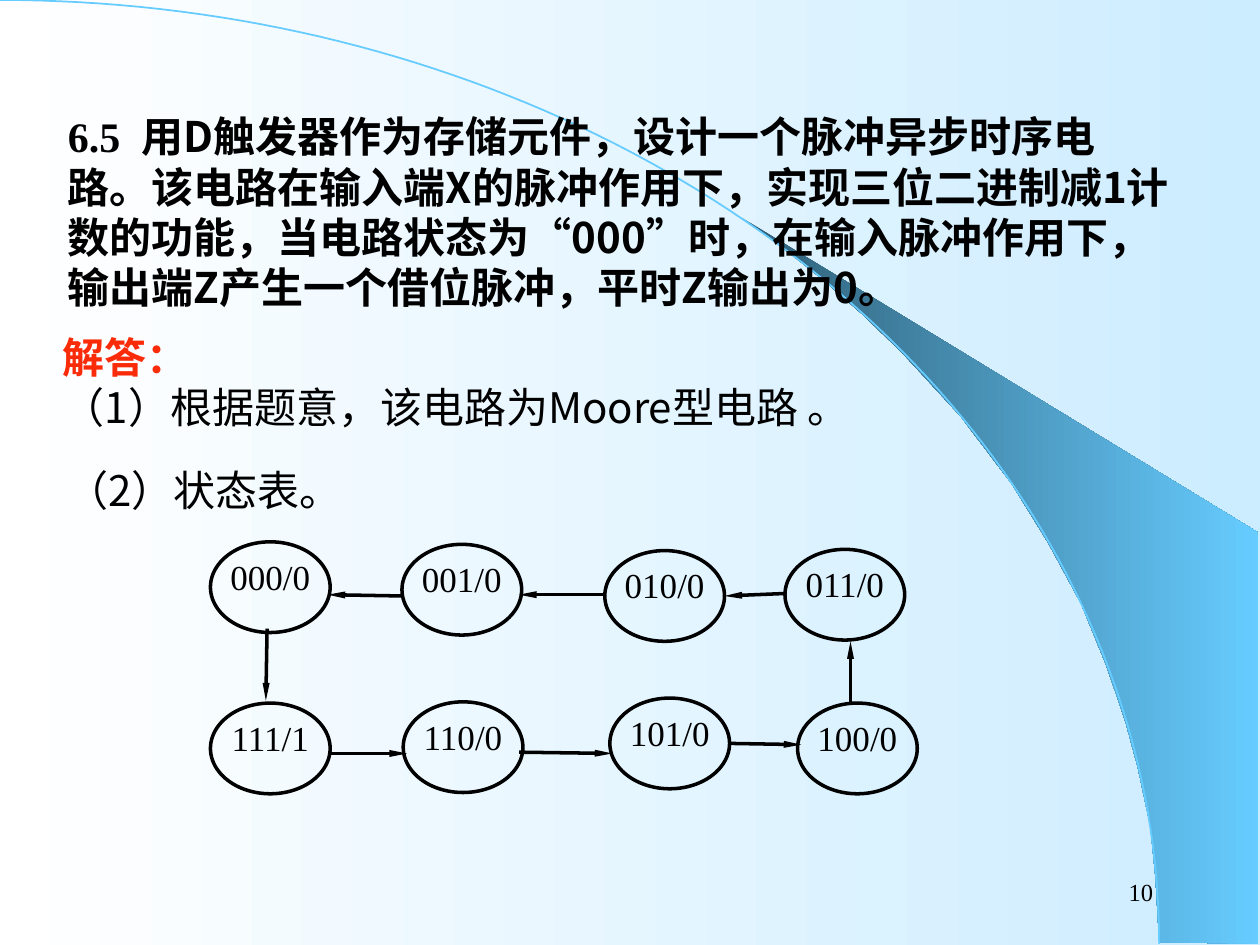
import math
from dataclasses import dataclass

import pptx
import pptx.dml.color
import pptx.enum.lang
import pptx.enum.shapes
import pptx.enum.text
import pptx.oxml
import pptx.oxml.ns
import pptx.util
from pptx.util import Inches

SANS = "Noto Sans CJK SC"
SERIF = "Times New Roman"
BLACK = "000000"
SKY = "66CCFF"
ALIGN = pptx.enum.text.PP_ALIGN
ANCHOR = pptx.enum.text.MSO_ANCHOR
AUTO_SIZE = pptx.enum.text.MSO_AUTO_SIZE
CHINESE = pptx.enum.lang.MSO_LANGUAGE_ID.SIMPLIFIED_CHINESE


@dataclass(frozen=True)
class Span:
    text: str
    font: str = SANS
    size: int = 24
    bold: bool = False
    colour: str = BLACK


@dataclass(frozen=True)
class State:
    label: str
    left: float
    top: float


@dataclass(frozen=True)
class Transition:
    """An arrow that points at its second end."""
    x1: float
    y1: float
    x2: float
    y2: float


STATES = [
    State("000/0", 1.67, 4.3), State("001/0", 3.19, 4.32),
    State("010/0", 4.8, 4.37), State("011/0", 6.23, 4.36),
    State("111/1", 1.67, 5.58), State("110/0", 3.2, 5.57),
    State("101/0", 4.84, 5.54), State("100/0", 6.33, 5.58),
]
TRANSITIONS = [
    Transition(6.24, 4.71, 5.75, 4.73), Transition(4.8, 4.72, 4.12, 4.72),
    Transition(3.19, 4.73, 2.6, 4.72), Transition(2.12, 4.99, 2.11, 5.56),
    Transition(2.62, 5.98, 3.23, 5.98), Transition(4.12, 5.97, 4.86, 5.98),
    Transition(5.79, 5.9, 6.36, 5.91), Transition(6.75, 5.57, 6.75, 5.09),
]
SWOOSH = [
    (9.2, 7.48), (9.99, 7.49), (9.99, 4.23), (5.89, 1.73), (6.24, 1.99),
    (6.53, 2.22), (6.85, 2.5), (7.16, 2.8), (7.62, 3.3), (8.03, 3.84),
    (8.32, 4.31), (8.58, 4.79), (8.78, 5.28), (8.93, 5.72), (9.03, 6.09),
    (9.13, 6.56), (9.17, 6.96),
]
QUESTION = [
    Span("6.5  ", SERIF, bold=True),
    Span("用D触发器作为存储元件，设计一个脉冲异步时序电路。该电路在输入端X的脉冲作用下，"
         "实现三位二进制减1计数的功能，当电路状态为", bold=True),
    Span("“", SERIF, bold=True),
    Span("000", bold=True),
    Span("”", SERIF, bold=True),
    Span("时，在输入脉冲作用下，输出端Z产生一个借位脉冲，平时Z输出为0。", bold=True),
]
ANSWER = [
    [Span("解答：", bold=True, colour="FA2B08")],
    [Span("（1）根据题意，该电路为Moore型电路 。")],
]


def rgb(colour: str) -> pptx.dml.color.RGBColor:
    return pptx.dml.color.RGBColor.from_string(colour)


def set_gradient(fill, start: str, end: str) -> None:
    fill.gradient()
    fill.gradient_angle = 0
    for stop, colour, position in zip(fill.gradient_stops, (start, end), (0, 1)):
        stop.color.rgb = rgb(colour)
        stop.position = position


def set_line(line, colour: str, width: float) -> None:
    line.color.rgb = rgb(colour)
    line.width = pptx.util.Pt(width)


def write(frame, paragraphs: list[list[Span]], align, **frame_format) -> None:
    for name, value in {"word_wrap": True, **frame_format}.items():
        setattr(frame, name, value)
    for index, spans in enumerate(paragraphs):
        para = frame.add_paragraph() if index else frame.paragraphs[0]
        para.alignment = align
        para._p.get_or_add_pPr().set("hangingPunct", "0")
        for span in spans:
            run = para.add_run()
            run.text = span.text
            run.font.color.rgb = rgb(span.colour)
            font_format = {"name": span.font, "bold": span.bold,
                           "size": pptx.util.Pt(span.size),
                           "language_id": CHINESE}
            for name, value in font_format.items():
                setattr(run.font, name, value)
            east_asian = pptx.oxml.parse_xml(
                f'<a:ea {pptx.oxml.ns.nsdecls("a")} typeface="{SANS}"/>')
            run.font._element.append(east_asian)


def add_text(page, left: float, top: float, width: float, height: float,
             paragraphs: list[list[Span]], align, **frame_format) -> None:
    box = page.shapes.add_textbox(
        Inches(left), Inches(top), Inches(width), Inches(height))
    write(box.text_frame, paragraphs, align, **frame_format)


def add_outline(page, points: list[tuple[float, float]], close: bool):
    corners = [(Inches(x), Inches(y)) for x, y in points]
    builder = page.shapes.build_freeform(*corners[0])
    builder.add_line_segments(corners[1:], close=close)
    shape = builder.convert_to_shape()
    shape.shadow.inherit = False
    return shape


def add_backdrop(page) -> None:
    set_gradient(page.background.fill, "FFFFFF", "CCECFF")
    swoosh = add_outline(page, SWOOSH, close=True)
    set_gradient(swoosh.fill, "2F5E76", SKY)
    swoosh.line.fill.background()

    width, height, steps = 9.2, 7.49, 90
    angles = [math.pi / 2 * step / steps for step in range(steps + 1)]
    quarter = [(width * math.sin(a), height * (1 - math.cos(a))) for a in angles]
    arc = add_outline(page, quarter, close=False)
    arc.fill.background()
    set_line(arc.line, SKY, 1)


def add_state(page, state: State) -> None:
    oval = page.shapes.add_shape(
        pptx.enum.shapes.MSO_SHAPE.OVAL, Inches(state.left), Inches(state.top),
        Inches(0.95), Inches(0.72))
    oval.shadow.inherit = False
    oval.fill.background()
    set_line(oval.line, BLACK, 2)
    margins = {f"margin_{side}": 0 for side in ("left", "top", "right", "bottom")}
    write(oval.text_frame, [[Span(state.label, SERIF, 20)]], ALIGN.CENTER,
          vertical_anchor=ANCHOR.TOP, **margins)


def add_transition(page, arrow: Transition) -> None:
    connector = page.shapes.add_connector(
        pptx.enum.shapes.MSO_CONNECTOR.STRAIGHT, Inches(arrow.x1),
        Inches(arrow.y1), Inches(arrow.x2), Inches(arrow.y2))
    set_line(connector.line, BLACK, 2)
    namespace = pptx.oxml.ns.nsdecls("a")
    connector.line._get_or_add_ln().append(pptx.oxml.parse_xml(
        f'<a:tailEnd {namespace} type="triangle" w="sm" len="lg"/>'))
    connector._element.spPr.append(
        pptx.oxml.parse_xml(f"<a:effectLst {namespace}/>"))


def main() -> None:
    deck = pptx.Presentation()
    deck.slide_width, deck.slide_height = Inches(10), Inches(7.5)
    page = deck.slides.add_slide(deck.slide_layouts[6])
    add_backdrop(page)
    add_text(page, 7.17, 6.83, 2.08, 0.5, [[Span("10", SERIF, 14)]],
             ALIGN.RIGHT, vertical_anchor=ANCHOR.MIDDLE)
    grow = {"auto_size": AUTO_SIZE.SHAPE_TO_FIT_TEXT}
    add_text(page, 0.44, 0.83, 9, 1.7, [QUESTION], ALIGN.LEFT, **grow)
    add_text(page, 0.4, 2.58, 8.85, 0.9, ANSWER, ALIGN.JUSTIFY, **grow)
    add_text(page, 0.43, 3.64, 8.85, 0.5, [[Span("（2）状态表。")]],
             ALIGN.JUSTIFY, **grow)
    for state in STATES:
        add_state(page, state)
    for arrow in TRANSITIONS:
        add_transition(page, arrow)
    deck.save("out.pptx")


if __name__ == "__main__":
    main()
